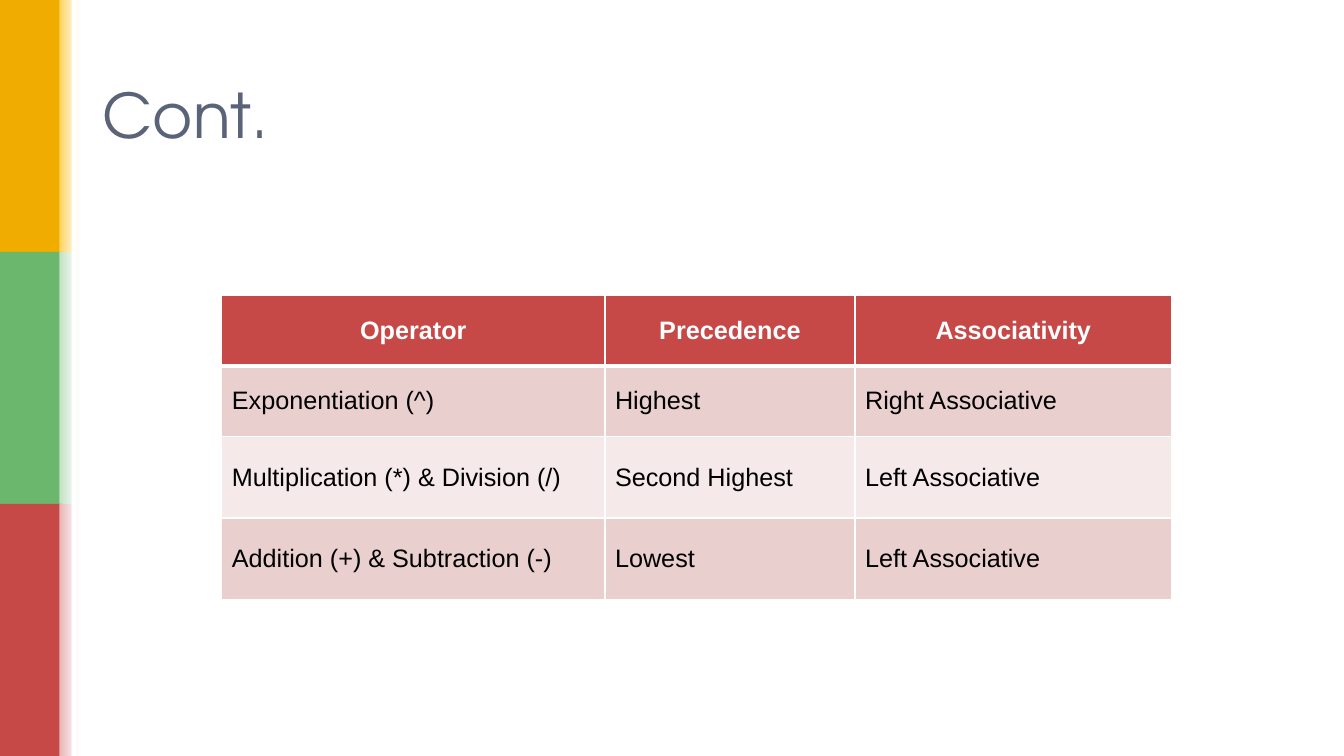
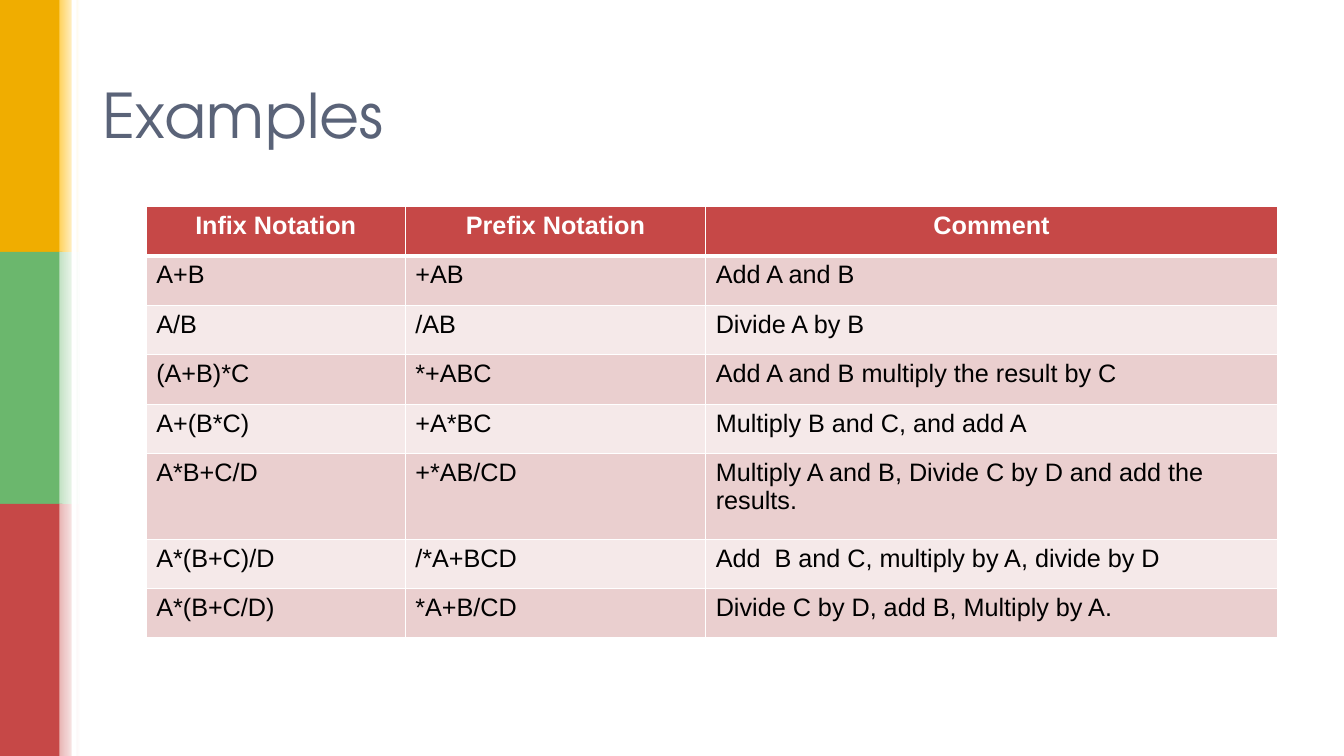
"""Build two slides on operator precedence and prefix notation."""
from pptx import Presentation
from pptx.dml.color import RGBColor
from pptx.enum import shapes, text
from pptx.oxml import parse_xml
from pptx.oxml.ns import nsdecls
from pptx.util import Inches, Pt

WHITE = RGBColor(0xFF, 0xFF, 0xFF)
BLACK = RGBColor(0x00, 0x00, 0x00)
SLATE = RGBColor(0x5A, 0x63, 0x78)
RED = RGBColor(0xC6, 0x48, 0x47)
PALE_RED = RGBColor(0xE8, 0xB6, 0xB5)
GREEN = RGBColor(0x6B, 0xB7, 0x6D)
PALE_GREEN = RGBColor(0xC4, 0xE2, 0xC5)
AMBER = RGBColor(0xF0, 0xAD, 0x00)
PALE_AMBER = RGBColor(0xFF, 0xD2, 0x5D)
ROW_TINTS = (RGBColor(0xEA, 0xCF, 0xCF), RGBColor(0xF5, 0xE9, 0xE9))

TITLE_FONT = "TeX Gyre Adventor"
TABLE_FONT = "Arial"
SLIDE_WIDTH, SLIDE_HEIGHT = 13.33, 7.5
BANDS = ((AMBER, PALE_AMBER), (GREEN, PALE_GREEN), (RED, PALE_RED))

PRECEDENCE = (
    ("Operator", "Precedence", "Associativity"),
    ("Exponentiation (^)", "Highest", "Right Associative"),
    ("Multiplication (*) & Division (/)", "Second Highest", "Left Associative"),
    ("Addition (+) & Subtraction (-)", "Lowest", "Left Associative"),
)
NOTATIONS = (
    ("Infix Notation", "Prefix Notation", "Comment"),
    ("A+B", "+AB", "Add A and B"),
    ("A/B", "/AB", "Divide A by B"),
    ("(A+B)*C", "*+ABC", "Add A and B multiply the result by C"),
    ("A+(B*C)", "+A*BC", "Multiply B and C, and add A"),
    ("A*B+C/D", "+*AB/CD", "Multiply A and B, Divide C by D and add the results."),
    ("A*(B+C)/D", "/*A+BCD", "Add  B and C, multiply by A, divide by D"),
    ("A*(B+C/D)", "*A+B/CD", "Divide C by D, add B, Multiply by A."),
)


def add_block(slide, left, top, width, height, colour, fade_to=None):
    """Draw a borderless rectangle, plain or fading to the right."""
    block = slide.shapes.add_shape(
        shapes.MSO_SHAPE.RECTANGLE,
        Inches(left), Inches(top), Inches(width), Inches(height))
    block.shadow.inherit = False
    block.line.fill.background()
    if fade_to is None:
        block.fill.solid()
        block.fill.fore_color.rgb = colour
    else:
        block.fill.gradient()
        block.fill.gradient_angle = 0
        for stop, stop_colour in zip(block.fill.gradient_stops, (colour, fade_to)):
            stop.color.rgb = stop_colour
    return block


def add_side_bands(slide):
    """Draw the side bands once and move them to the slide's layout."""
    height = SLIDE_HEIGHT / len(BANDS)
    blocks = []
    for index, (colour, pale) in enumerate(BANDS):
        top = index * height
        blocks.append(add_block(slide, 0, top, 0.62, height, colour))
        blocks.append(add_block(slide, 0.59, top, 0.2, height, pale, WHITE))
    blocks.append(add_block(slide, 0.71, 0, 0.05, SLIDE_HEIGHT, WHITE))
    for number, block in enumerate(blocks, start=20):
        block.element.nvSpPr.cNvPr.set("id", str(number))
        slide.slide_layout.shapes.element.append(block.element)


def set_title(slide, wording):
    """Fill, place and format the title placeholder."""
    title = slide.shapes.title
    title.left, title.top = Inches(0.92), Inches(0.4)
    title.width, title.height = Inches(11.5), Inches(1.45)
    title.text_frame.text = wording
    title.text_frame.vertical_anchor = text.MSO_ANCHOR.MIDDLE
    paragraph = title.text_frame.paragraphs[0]
    paragraph.alignment = text.PP_ALIGN.LEFT
    font = paragraph.runs[0].font
    font.name, font.size = TITLE_FONT, Pt(44)
    font.color.rgb = SLATE


def set_borders(cell, top, bottom):
    """Give a cell white borders, with top and bottom widths in points."""
    properties = cell._tc.get_or_add_tcPr()
    for side, width in (("L", 1), ("R", 1), ("T", top), ("B", bottom)):
        properties.append(parse_xml(
            f'<a:ln{side} {nsdecls("a")} w="{Pt(width)}"><a:solidFill>'
            f'<a:srgbClr val="{WHITE}"/></a:solidFill></a:ln{side}>'))


def format_cell(cell, wording, row, anchor):
    """Write one cell and style it as header or tinted body."""
    header = row == 0
    set_borders(cell, top=3 if row == 1 else 1, bottom=3 if header else 1)
    cell.fill.solid()
    cell.fill.fore_color.rgb = RED if header else ROW_TINTS[(row - 1) % 2]
    cell.vertical_anchor = anchor
    cell.text_frame.text = wording
    paragraph = cell.text_frame.paragraphs[0]
    paragraph.alignment = text.PP_ALIGN.CENTER if header else text.PP_ALIGN.LEFT
    font = paragraph.runs[0].font
    font.name, font.size, font.bold = TABLE_FONT, Pt(18), header
    font.color.rgb = WHITE if header else BLACK


def add_grid(slide, left, top, widths, heights, rows, anchor):
    """Add a table with a red header and alternating row tints."""
    grid = slide.shapes.add_table(
        len(rows), len(widths), Inches(left), Inches(top),
        Inches(sum(widths)), Inches(sum(heights))).table
    for column, width in zip(grid.columns, widths):
        column.width = Inches(width)
    for index, (height, wordings) in enumerate(zip(heights, rows)):
        grid.rows[index].height = Inches(height)
        for cell, wording in zip(grid.rows[index].cells, wordings):
            format_cell(cell, wording, index, anchor)


def main():
    """Build and save the presentation."""
    deck = Presentation()
    deck.slide_width, deck.slide_height = Inches(SLIDE_WIDTH), Inches(SLIDE_HEIGHT)
    title_only = deck.slide_layouts[5]

    precedence = deck.slides.add_slide(title_only)
    add_side_bands(precedence)
    set_title(precedence, "Cont.")
    add_grid(precedence, 2.2, 2.93, (3.8, 2.48, 3.14), (0.7, 0.7, 0.81, 0.81),
             PRECEDENCE, text.MSO_ANCHOR.MIDDLE)

    examples = deck.slides.add_slide(title_only)
    set_title(examples, "Examples")
    heights = [0.49] * 5 + [0.85] + [0.49] * 2
    add_grid(examples, 1.45, 2.05, (2.57, 2.98, 5.67), heights,
             NOTATIONS, text.MSO_ANCHOR.TOP)

    deck.save("out.pptx")


if __name__ == "__main__":
    main()
